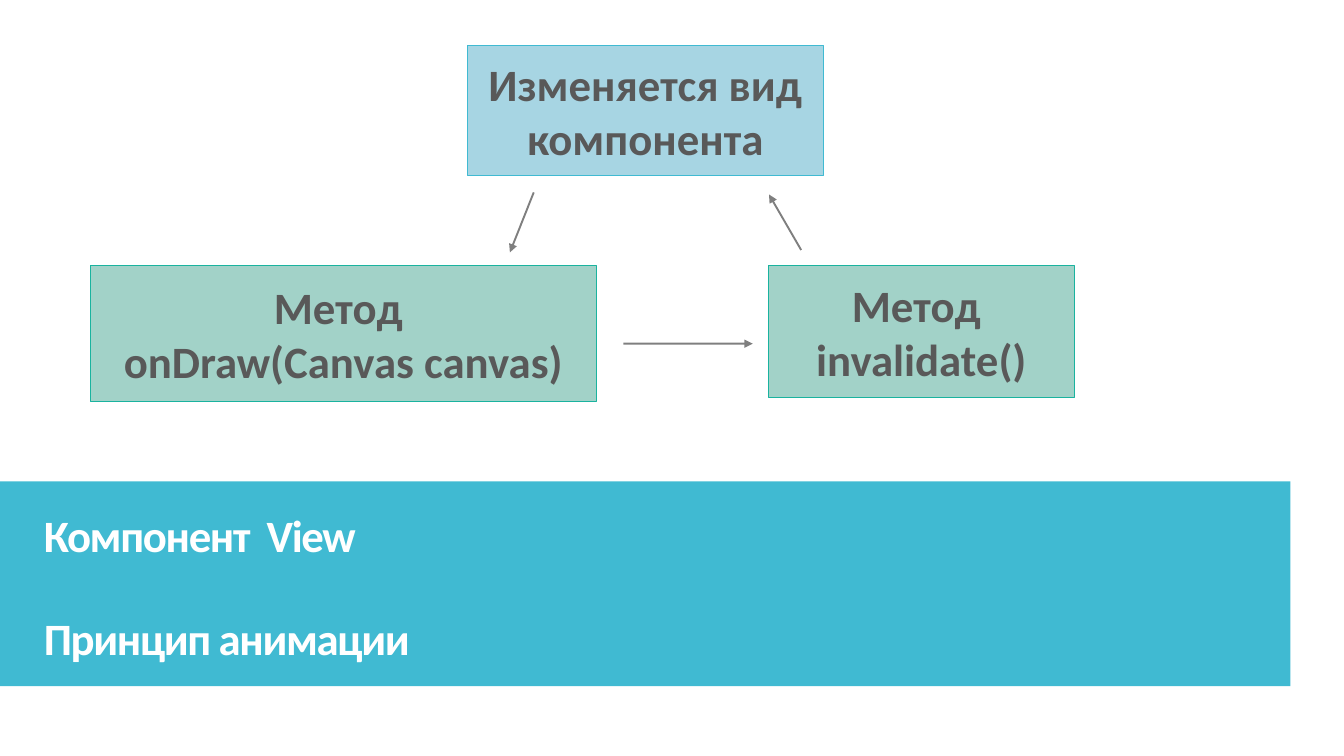
"""Builds a slide on how a View component is animated."""
from lxml.etree import SubElement
from pptx import Presentation
from pptx.dml.color import RGBColor
from pptx.enum.shapes import MSO_CONNECTOR, MSO_SHAPE
from pptx.enum.text import MSO_ANCHOR, MSO_AUTO_SIZE, PP_ALIGN
from pptx.oxml.ns import qn
from pptx.util import Cm, Pt

COLORS = {
    "band": "40BAD2",
    "view": "A7D5E3",
    "method": "A2D2C8",
    "method_line": "1AB39F",
    "text": "595959",
    "arrow": "000000",
    "white": "FFFFFF",
}


def rgb(name):
    """Return the named colour."""
    return RGBColor.from_string(COLORS[name])


def write(tf, lines, color, size=32, align=PP_ALIGN.CENTER,
          anchor=MSO_ANCHOR.MIDDLE, spacing=None, after=None, tracking=None):
    """Fill a text frame with one bold paragraph per line."""
    tf.word_wrap = True
    tf.auto_size = MSO_AUTO_SIZE.NONE
    tf.vertical_anchor = anchor
    for i, line in enumerate(lines):
        p = tf.add_paragraph() if i else tf.paragraphs[0]
        p.alignment = align
        if spacing:
            p.line_spacing = spacing
        if after:
            p.space_after = Pt(after[i])
        r = p.add_run()
        r.text = line
        r.font.name = "Calibri"
        r.font.size = Pt(size)
        r.font.bold = True
        r.font.color.rgb = rgb(color)
        if tracking:
            r.font._element.set("spc", str(tracking))


def add_box(s, left, top, width, height, fill, line=None, lines=()):
    """Add a filled rectangle, outlined and labelled on request."""
    sp = s.shapes.add_shape(MSO_SHAPE.RECTANGLE, Cm(left), Cm(top),
                            Cm(width), Cm(height))
    sp.shadow.inherit = False
    sp.fill.solid()
    sp.fill.fore_color.rgb = rgb(fill)
    if line:
        sp.line.color.rgb = rgb(line)
        sp.line.width = Pt(0.75)
    else:
        sp.line.fill.background()
    write(sp.text_frame, lines, "text")
    return sp


def add_arrow(s, x1, y1, x2, y2):
    """Add a straight half-transparent arrow pointing at its second end."""
    c = s.shapes.add_connector(MSO_CONNECTOR.STRAIGHT,
                               Cm(x1), Cm(y1), Cm(x2), Cm(y2))
    c.line.color.rgb = rgb("arrow")
    c.line.width = Pt(1.35)
    ln = c.line._get_or_add_ln()
    SubElement(ln.find(".//" + qn("a:srgbClr")), qn("a:alpha"), val="50000")
    SubElement(ln, qn("a:tailEnd"), type="triangle")
    SubElement(c._element.spPr, qn("a:effectLst"))


def set_title(s, lines):
    """Place and format the title in front of its band."""
    band = add_box(s, 0, 12.13, 32.52, 5.16, "band")
    sp = s.shapes.title
    band.element.addnext(sp.element)
    sp.left, sp.top, sp.width, sp.height = (
        Cm(0.85), Cm(12.65), Cm(28.37), Cm(4.22))
    write(sp.text_frame, lines, "white", align=PP_ALIGN.LEFT,
          anchor=MSO_ANCHOR.BOTTOM, spacing=0.8, after=(43, 6), tracking=-100)


def main():
    """Build and save the slide."""
    prs = Presentation()
    prs.slide_width, prs.slide_height = Cm(33.87), Cm(19.05)
    s = prs.slides.add_slide(prs.slide_layouts[5])
    set_title(s, ["Компонент  View", "Принцип анимации"])
    add_box(s, 19.37, 6.7, 7.7, 3.31, "method", "method_line",
            ["Метод ", "invalidate()"])
    add_box(s, 2.28, 6.7, 12.75, 3.41, "method", "method_line",
            ["Метод ", "onDraw(Canvas canvas)"])
    add_box(s, 11.78, 1.14, 8.97, 3.28, "view", "band",
            ["Изменяется вид компонента"])
    add_arrow(s, 15.71, 8.66, 18.97, 8.66)
    add_arrow(s, 20.19, 6.3, 19.38, 4.9)
    add_arrow(s, 13.45, 4.85, 12.85, 6.36)
    prs.save("out.pptx")


if __name__ == "__main__":
    main()
